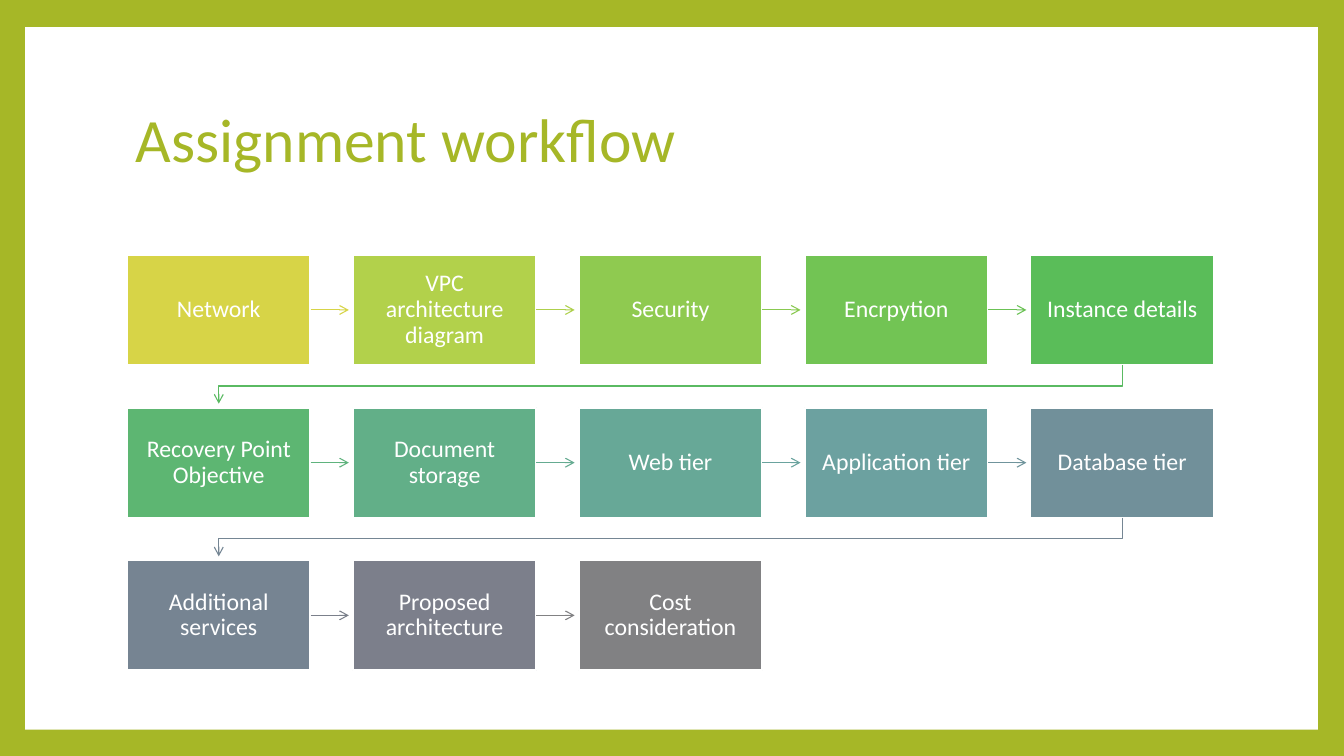
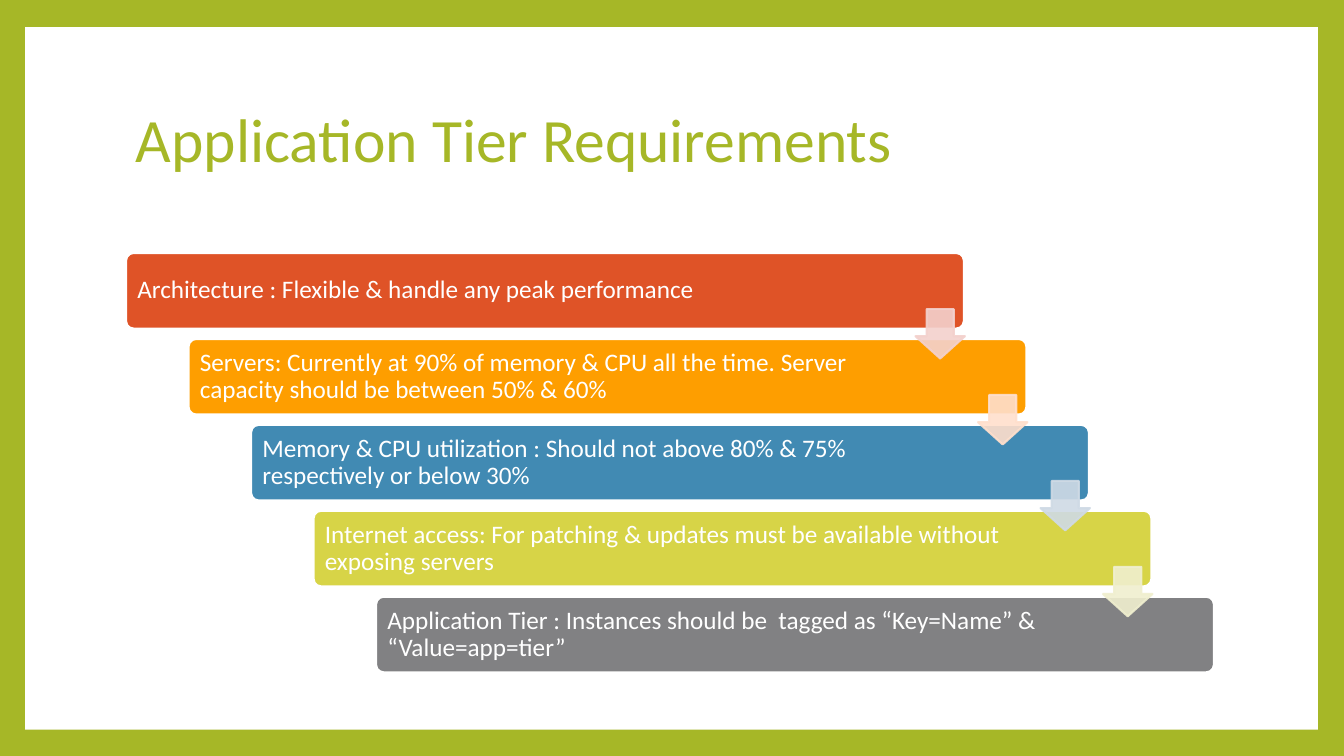
from dataclasses import dataclass

import pptx
import pptx.dml.color
import pptx.enum.shapes
import pptx.enum.text
import pptx.oxml.ns
import pptx.util
from lxml import etree

Inches = pptx.util.Inches
Pt = pptx.util.Pt
SHAPE = pptx.enum.shapes.MSO_SHAPE
ALIGN = pptx.enum.text.PP_ALIGN
qn = pptx.oxml.ns.qn


@dataclass(frozen=True)
class Theme:
    width: float = 13.33
    height: float = 7.5
    font: str = "Calibri"
    accent: str = "A6B727"
    white: str = "FFFFFF"
    title_size: float = 44
    step_size: float = 17
    band_size: float = 18
    outline: float = 1.5
    arrow_line: float = 0.79


THEME = Theme()
PANEL = (0.25, 0.27, 12.82, 6.97)
TITLE = (1.25, 0.67, 10.8, 1.48)
FLOW = (1.26, 2.53, 10.78, 4.12)
STAIRCASE = (1.25, 2.51, 10.79, 4.16)

# Label, box colour, colour of the arrow that leaves the box
STEPS = [
    ("Network", "D7D447", "D7D447"),
    ("VPC architecture diagram", "B2D14B", "AED04C"),
    ("Security", "8FCA50", "89C950"),
    ("Encrpytion", "72C454", "6BC255"),
    ("Instance details", "5ABD59", "5ABA62"),
    ("Recovery Point Objective", "5DB672", "5FB37D"),
    ("Document storage", "62AF88", "65AB91"),
    ("Web tier", "67A897", "6AA39E"),
    ("Application tier", "6CA1A0", "70949C"),
    ("Database tier", "71909A", "758694"),
    ("Additional services", "768492", "7B808B"),
    ("Proposed architecture", "7C7F8B", "818183"),
    ("Cost consideration", "818183", None),
]

# Text, band colour, colour of the arrow to the next band
REQUIREMENTS = [
    ("Architecture : Flexible & handle any peak performance", "DF5327", "F3D1CD"),
    ("Servers: Currently at 90% of memory & CPU all the time. Server capacity "
     "should be between 50% & 60%", "FE9E00", "FFDFCC"),
    ("Memory & CPU utilization : Should not above 80% & 75% respectively or "
     "below 30%", "418AB3", "CFDAE5"),
    ("Internet access: For patching & updates must be available without "
     "exposing servers", "D7D447", "F0EFCF"),
    ("Application Tier : Instances should be  tagged as “Key=Name” & "
     "“Value=app=tier”", "818183", None),
]


def rgb(colour):
    return pptx.dml.color.RGBColor.from_string(colour)


def lengths(box):
    return [Inches(v) for v in box]


def add_block(s, kind, box, fill, line=None):
    sp = s.shapes.add_shape(kind, *lengths(box))
    sp.shadow.inherit = False
    sp.fill.solid()
    sp.fill.fore_color.rgb = rgb(fill)
    if line:
        sp.line.color.rgb = rgb(line)
        sp.line.width = Pt(THEME.outline)
    else:
        sp.line.fill.background()
    return sp


def write(sp, text, size, colour, align, margins):
    """Margins run left, top, right, bottom in inches."""
    tf = sp.text_frame
    tf.word_wrap = True
    tf.vertical_anchor = pptx.enum.text.MSO_ANCHOR.MIDDLE
    (tf.margin_left, tf.margin_top,
     tf.margin_right, tf.margin_bottom) = lengths(margins)
    p = tf.paragraphs[0]
    p.text = text
    p.alignment = align
    p.line_spacing = 0.9
    p.font.name = THEME.font
    p.font.size = Pt(size)
    p.font.color.rgb = rgb(colour)


def style_arrow(sp, colour):
    sp.line.color.rgb = rgb(colour)
    sp.line.width = Pt(THEME.arrow_line)
    etree.SubElement(sp.line._get_or_add_ln(), qn("a:tailEnd"), type="arrow")


def add_framed_slide(prs, title):
    s = prs.slides.add_slide(prs.slide_layouts[6])
    s.background.fill.solid()
    s.background.fill.fore_color.rgb = rgb(THEME.accent)
    add_block(s, SHAPE.RECTANGLE, PANEL, THEME.white)
    write(s.shapes.add_textbox(*lengths(TITLE)), title, THEME.title_size,
          THEME.accent, ALIGN.LEFT, (0.1, 0.05, 0.1, 0.05))
    return s


def add_step_arrow(s, step, length, colour):
    x, y = step.left + step.width, step.top + step.height // 2
    arrow = s.shapes.add_connector(
        pptx.enum.shapes.MSO_CONNECTOR.STRAIGHT, x, y, x + Inches(length), y)
    arrow.begin_connect(step, 3)
    style_arrow(arrow, colour)
    etree.SubElement(arrow._element.spPr, qn("a:effectLst"))


def add_return_arrow(s, start, end, colour):
    """Leads from the end of one row down to the start of the next."""
    (x1, y1), (x2, y2) = start, end
    turn = y1 + 0.21
    builder = s.shapes.build_freeform(Inches(x1), Inches(y1))
    builder.add_line_segments(
        [lengths(point) for point in ((x1, turn), (x2, turn), (x2, y2))],
        close=False)
    arrow = builder.convert_to_shape()
    arrow.shadow.inherit = False
    arrow.fill.background()
    style_arrow(arrow, colour)


def add_flow(s, box, steps, columns=5, rows=3):
    left, top, width, height = box
    step_w, step_h, clearance = 1.82, 1.09, 0.04
    pitch_x = (width - step_w) / (columns - 1)
    pitch_y = (height - step_h) / (rows - 1)
    for i, (label, fill, arrow_colour) in enumerate(steps):
        row, column = divmod(i, columns)
        x, y = left + column * pitch_x, top + row * pitch_y
        step = add_block(s, SHAPE.RECTANGLE, (x, y, step_w, step_h),
                         fill, THEME.white)
        write(step, label, THEME.step_size, THEME.white, ALIGN.CENTER, [0.13] * 4)
        if arrow_colour and column < columns - 1:
            add_step_arrow(s, step, pitch_x - step_w - clearance, arrow_colour)
        elif arrow_colour:
            add_return_arrow(s, (x + step_w / 2, y + step_h),
                             (left + step_w / 2, y + pitch_y - clearance),
                             arrow_colour)


def add_down_arrow(s, box, colour):
    arrow = add_block(s, SHAPE.DOWN_ARROW, box, colour, colour)
    arrow.adjustments[0], arrow.adjustments[1] = 0.55, 0.45
    for clr in arrow._element.spPr.iter(qn("a:srgbClr")):
        etree.SubElement(clr, qn("a:alpha"), val="90000")


def add_staircase(s, box, bands):
    left, top, width, height = box
    band_w, band_h, arrow_size = 8.31, 0.75, 0.49
    step_x = (width - band_w) / (len(bands) - 1)
    step_y = (height - band_h) / (len(bands) - 1)
    spots = [(left + i * step_x, top + i * step_y) for i in range(len(bands))]
    for (x, y), (text, fill, _) in zip(spots, bands):
        band = add_block(s, SHAPE.ROUNDED_RECTANGLE, (x, y, band_w, band_h),
                         fill, THEME.white)
        band.adjustments[0] = 0.1
        write(band, text, THEME.band_size, THEME.white, ALIGN.LEFT,
              (0.09, 0.09, 1.2, 0.09))
    for (x, y), (_, _, colour) in zip(spots[:-1], bands):
        gap_middle = y + (band_h + step_y) / 2
        add_down_arrow(s, (x + band_w - arrow_size + 0.01,
                           gap_middle - arrow_size / 2,
                           arrow_size, arrow_size), colour)


def main():
    prs = pptx.Presentation()
    prs.slide_width, prs.slide_height = lengths((THEME.width, THEME.height))
    add_flow(add_framed_slide(prs, "Assignment workflow"), FLOW, STEPS)
    add_staircase(add_framed_slide(prs, "Application Tier Requirements"),
                  STAIRCASE, REQUIREMENTS)
    prs.save("out.pptx")


if __name__ == "__main__":
    main()
